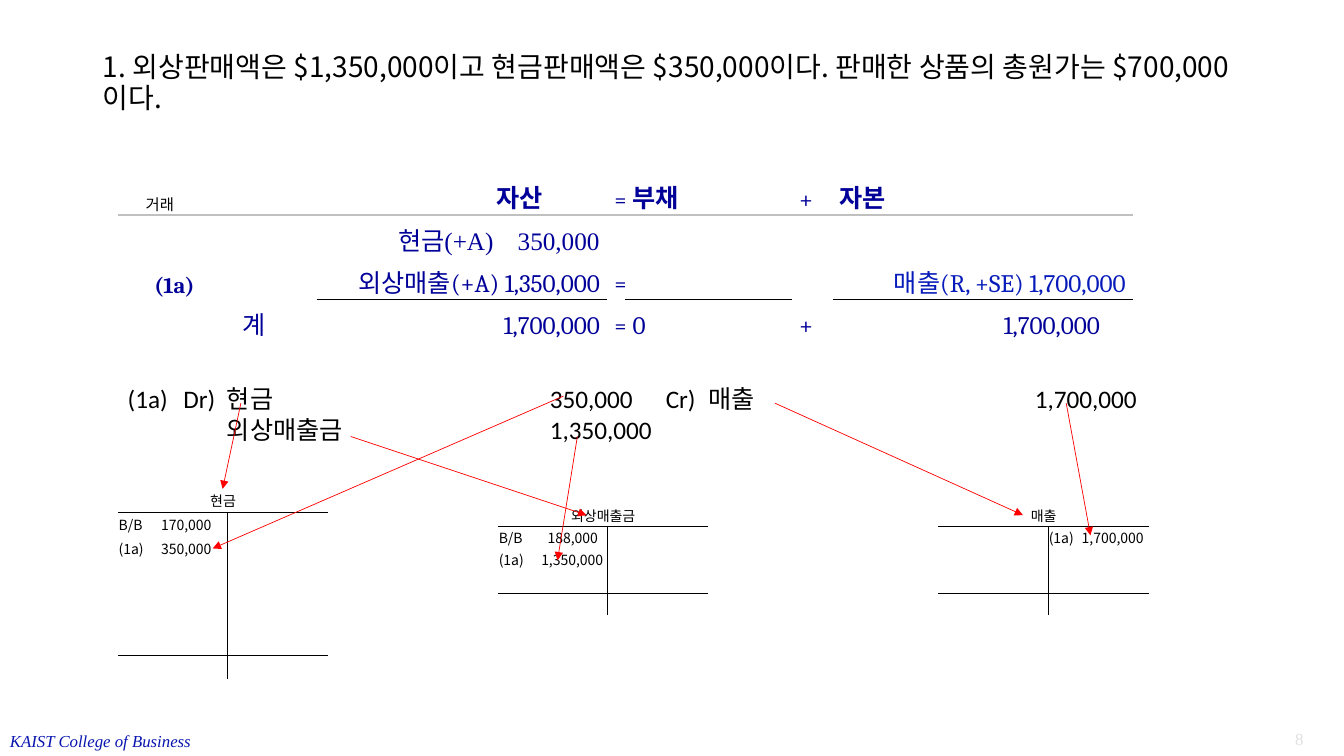
from pptx import Presentation
from pptx.dml.color import RGBColor
from pptx.enum import shapes, text
from pptx.oxml.ns import qn
from pptx.util import Cm, Pt
from lxml import etree

BLACK = RGBColor(0x00, 0x00, 0x00)
WHITE = RGBColor(0xFF, 0xFF, 0xFF)
NAVY = RGBColor(0x00, 0x00, 0x99)
BLUE = RGBColor(0x06, 0x1B, 0xBA)
FOOTER_BLUE = RGBColor(0x09, 0x15, 0xAF)
SILVER = RGBColor(0xC0, 0xC0, 0xC0)
PALE = RGBColor(0xE0, 0xE0, 0xE0)
RED = RGBColor(0xFF, 0x00, 0x00)

KOREAN = "Noto Sans CJK KR"
CAMBRIA = "Cambria"
TIMES = "Times New Roman"
NO_STYLE = "{2D5ABB26-0587-4C30-8999-92F81FD0307C}"
LEFT, CENTER, RIGHT = text.PP_ALIGN.LEFT, text.PP_ALIGN.CENTER, text.PP_ALIGN.RIGHT


def write(paragraph, words, size=18, font=CAMBRIA, color=NAVY, bold=False, italic=False,
          align=LEFT, spacing=None, tabs=()):
    """Fill a paragraph; tabs holds (position in cm, "l" or "r")."""
    paragraph.alignment = align
    if spacing:
        paragraph.line_spacing = spacing
    if tabs:
        stops = etree.SubElement(paragraph._p.get_or_add_pPr(), qn("a:tabLst"))
        for position, side in tabs:
            etree.SubElement(stops, qn("a:tab"), pos=str(Cm(position)), algn=side)
    run = paragraph.add_run()
    run.text = words
    run.font.size, run.font.name = Pt(size), font
    run.font.bold, run.font.italic = bold, italic
    run.font.color.rgb = color
    etree.SubElement(run._r.get_or_add_rPr(), qn("a:ea"), typeface=KOREAN)


def add_text(slide, left, top, width, height, lines, wrap=True, **style):
    frame = slide.shapes.add_textbox(Cm(left), Cm(top), Cm(width), Cm(height)).text_frame
    frame.word_wrap = wrap
    for i, line in enumerate(lines):
        write(frame.add_paragraph() if i else frame.paragraphs[0], line, **style)


def add_border(cell, side, color, width):
    """Side is L, R, T or B; add R before B on one cell."""
    line = etree.Element(qn(f"a:ln{side}"), w=str(Pt(width)))
    fill = etree.SubElement(line, qn("a:solidFill"))
    etree.SubElement(fill, qn("a:srgbClr"), val=str(color))
    properties = cell._tc.get_or_add_tcPr()
    borders = [child for child in properties if child.tag.startswith(qn("a:ln"))]
    properties.insert(len(borders), line)


def add_grid(slide, left, top, columns, rows, margin, anchor, fill=None):
    frame = slide.shapes.add_table(len(rows), len(columns), Cm(left), Cm(top),
                                   Cm(sum(columns)), Cm(sum(rows)))
    table = frame.table
    table.first_row = table.horz_banding = False
    table._tbl.tblPr.find(qn("a:tableStyleId")).text = NO_STYLE
    for column, width in zip(table.columns, columns):
        column.width = Cm(width)
    for row, height in zip(table.rows, rows):
        row.height = Cm(height)
    for cell in table.iter_cells():
        cell.margin_left = cell.margin_right = Cm(margin)
        cell.margin_top = cell.margin_bottom = 0
        cell.vertical_anchor = anchor
        if fill is None:
            cell.fill.background()
        else:
            cell.fill.solid()
            cell.fill.fore_color.rgb = fill
        # Small type keeps empty rows at their set height
        cell.text_frame.paragraphs[0]._p.get_or_add_endParaRPr().set("sz", "1000")
    return table


def add_equation(slide):
    """Accounting equation: assets = liabilities + equity."""
    columns = [1.65, 0.41, 0.41, 0.25, 2.24, 2.92, 1.63, 0.81, 1.96, 0.46, 0.64, 3.56,
               1.02, 7.57, 0.69, 0.41]
    table = add_grid(slide, 2.97, 3.53, columns, [0.83, 1.06, 2.12, 1.06, 0.8], 0.18,
                     text.MSO_ANCHOR.BOTTOM, WHITE)
    shared = [(5, 8), (10, 11), (14, 15)]
    merges = [[(1, 2), (3, 6), (9, 10)],
              [(0, 4), (6, 8), (10, 11), (14, 15)],
              [(0, 1), (2, 4)] + shared,
              [(0, 1), (2, 3)] + shared,
              [(0, 1), (2, 4)] + shared]
    for row, spans in enumerate(merges):
        for first, last in spans:
            table.cell(row, first).merge(table.cell(row, last))

    # Rules under the heading and the amounts
    for column in range(14):
        add_border(table.cell(1, column), "B", SILVER, 1.5)
    for column in (5, 6, 7, 8, 10, 11, 13):
        add_border(table.cell(2, column), "B", BLACK, 1)

    entries = [
        (1, 0, "거래", dict(size=11, font="Calibri", color=BLACK, spacing=1.15)),
        (1, 6, "자산", dict(bold=True, align=CENTER, spacing=1.15)),
        (1, 10, "부채", dict(bold=True, spacing=1.15)),
        (1, 13, "자본", dict(bold=True, spacing=1.15)),
        (2, 0, "(1a)", dict(size=16, bold=True, align=RIGHT, spacing=1.15)),
        (2, 5, "\t현금(+A)\t350,000",
         dict(font=TIMES, spacing=1.15, tabs=[(4.28, "r"), (6.95, "r")])),
        (2, 13, "매출(R, +SE) 1,700,000", dict(color=BLUE, align=RIGHT, spacing=1.15)),
        (3, 4, "계", dict(spacing=1.15)),
        (3, 5, "1,700,000", dict(align=RIGHT, spacing=1.15)),
        (3, 10, "0", dict(spacing=1.15)),
        (3, 13, "1,700,000", dict(align=RIGHT, spacing=1.15)),
    ]
    signs = [(1, 9, "="), (1, 12, "+"), (2, 9, "="), (3, 9, "="), (3, 12, "+")]
    entries += [(row, column, sign, dict(spacing=1.15)) for row, column, sign in signs]
    for row, column, words, style in entries:
        write(table.cell(row, column).text_frame.paragraphs[0], words, **style)
    receivable = table.cell(2, 5).text_frame.add_paragraph()
    write(receivable, "외상매출(+A) 1,350,000", align=RIGHT, spacing=1.15)

    table.cell(1, 0).margin_left = Cm(0.7)
    table.cell(3, 4).margin_left = Cm(0.37)
    table.cell(3, 13).margin_right = Cm(0.83)


def add_account(slide, left, top, rows, row_height, name, entries):
    """T-account; entries are (row, column, words, indent in cm)."""
    table = add_grid(slide, left, top, [0.92, 1.84, 0.68, 1.86], [row_height] * rows, 0,
                     text.MSO_ANCHOR.MIDDLE)
    table.cell(0, 0).merge(table.cell(0, 3))
    for row in range(1, rows):
        add_border(table.cell(row, 1), "R", BLACK, 0.5)
    for row in (0, rows - 2):
        for column in range(4):
            add_border(table.cell(row, column), "B", BLACK, 0.5)
    style = dict(size=10, font=KOREAN, color=BLACK)
    write(table.cell(0, 0).text_frame.paragraphs[0], name, align=CENTER, **style)
    for row, column, words, indent in entries:
        cell = table.cell(row, column)
        cell.margin_left = Cm(indent)
        write(cell.text_frame.paragraphs[0], words, **style)


def add_arrow(slide, x1, y1, x2, y2):
    arrow = slide.shapes.add_connector(shapes.MSO_CONNECTOR.STRAIGHT,
                                       Cm(x1), Cm(y1), Cm(x2), Cm(y2))
    arrow.line.color.rgb = RED
    arrow.line.width = Pt(0.5)
    etree.SubElement(arrow.line._get_or_add_ln(), qn("a:tailEnd"), type="triangle")
    etree.SubElement(arrow._element.spPr, qn("a:effectLst"))


def main():
    deck = Presentation()
    deck.slide_width, deck.slide_height = Cm(33.87), Cm(19.05)
    slide = deck.slides.add_slide(deck.slide_layouts[5])

    # Title
    title = slide.shapes.title
    title.left, title.top, title.width, title.height = Cm(2.34), Cm(1.02), Cm(29.21), Cm(2.16)
    title.text_frame.vertical_anchor = text.MSO_ANCHOR.MIDDLE
    write(title.text_frame.paragraphs[0],
          "1. 외상판매액은 $1,350,000이고 현금판매액은 $350,000이다. "
          "판매한 상품의 총원가는 $700,000이다.",
          size=20, font=KOREAN, color=BLACK, spacing=Pt(22))

    add_equation(slide)

    # Journal entry
    stops = [(position, "l") for position in (1.4, 2.5, 10.64, 13.56, 14.63, 22.86)]
    add_text(slide, 2.97, 9.53, 27.18, 1.8,
             ["(1a)\tDr)\t현금\t350,000\tCr)\t매출\t1,700,000", "\t\t외상매출금\t1,350,000"],
             font="Calibri", color=BLACK, spacing=Pt(22), tabs=stops)

    # Ledger accounts
    add_account(slide, 2.97, 12.32, 8, 0.6, "현금",
                [(1, 0, "B/B", 0.02), (1, 1, "170,000", 0.17),
                 (2, 0, "(1a)", 0.02), (2, 1, "350,000", 0.17)])
    add_account(slide, 12.55, 12.7, 5, 0.56, "외상매출금",
                [(1, 0, "B/B", 0.02), (1, 1, "188,000", 0.33),
                 (2, 0, "(1a)", 0.02), (2, 1, "1,350,000", 0.17)])
    add_account(slide, 23.65, 12.7, 5, 0.56, "매출",
                [(1, 2, "(1a)", 0.02), (1, 3, "1,700,000", 0.17)])

    # Postings from journal to ledger
    for ends in [(6.07, 10.16, 5.61, 12.32), (8.84, 11, 14.78, 12.98),
                 (19.53, 10.16, 25.78, 12.98), (14.2, 9.98, 5.36, 13.82),
                 (14.55, 11, 14.05, 14.12), (26.87, 10.16, 27.48, 13.49)]:
        add_arrow(slide, *ends)

    # Footer
    add_text(slide, 0, 18.29, 5.13, 0.76, ["KAIST College of Business"], wrap=False,
             size=12, font=TIMES, color=FOOTER_BLUE, italic=True)
    add_text(slide, 31.1, 18.25, 2, 0.76, ["8"], size=12, font=TIMES, color=PALE, align=RIGHT)

    deck.save("out.pptx")


if __name__ == "__main__":
    main()
